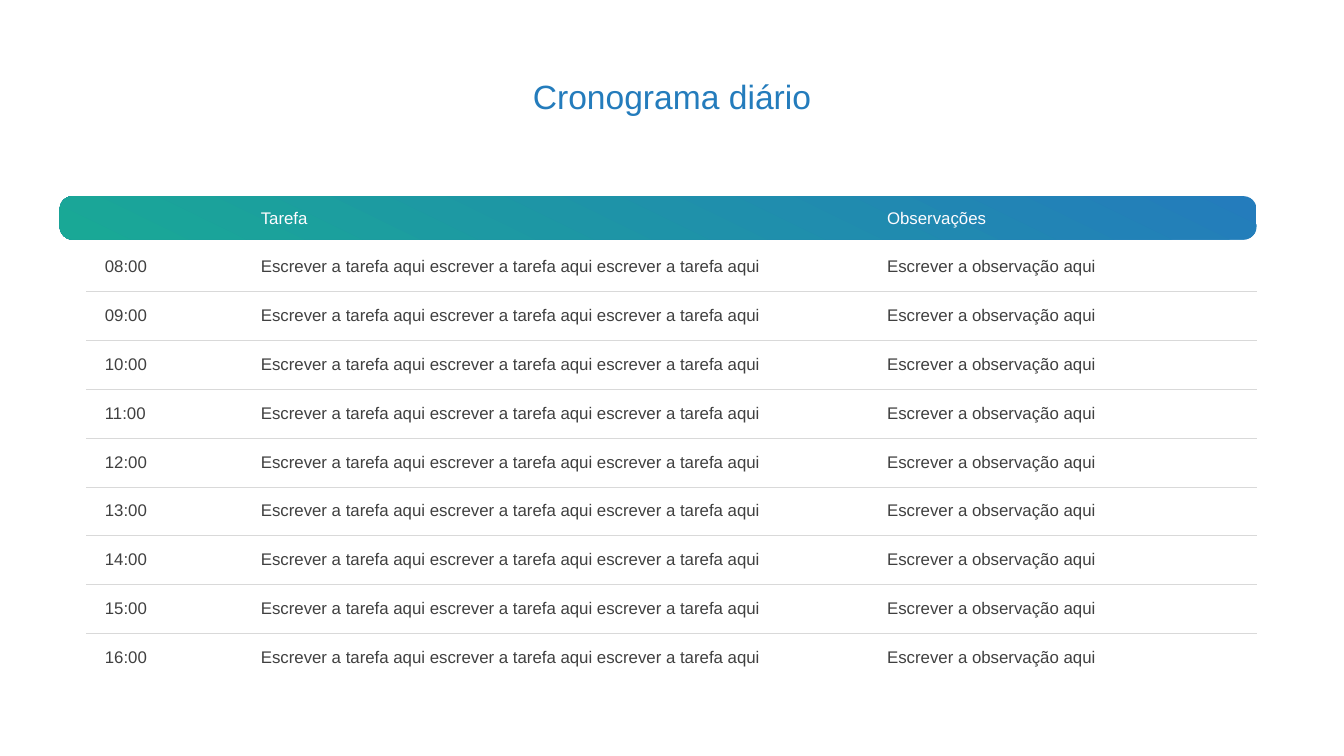
import pptx
import pptx.util
import pptx.dml.color
import pptx.enum.shapes
import pptx.enum.text
import lxml.etree

Pt = pptx.util.Pt
TEXT = pptx.enum.text

TITLE = "Cronograma diário"
HEADS = ["", "Tarefa", "Observações"]
HOURS = range(8, 17)
TASK = "Escrever a tarefa aqui escrever a tarefa aqui escrever a tarefa aqui"
NOTE = "Escrever a observação aqui"
COLS = [(54.7, 69), (138.25, 283), (473.75, 175)]
COLORS = {"blue": "247CBC", "green": "19A896", "white": "FEFCFF",
          "text": "404040", "rule": "D9D9D9"}
FONT = "Arial"
TOP, PITCH, HIGH = 135.6, 26.18, 13.7
GAP = 20.6


def tint(name):
    return pptx.dml.color.RGBColor.from_string(COLORS[name])


def style(par, size, name):
    par.font.name = FONT
    par.font.size = Pt(size)
    par.font.color.rgb = tint(name)


def place(shape, left, top, width, height):
    shape.left, shape.top = Pt(left), Pt(top)
    shape.width, shape.height = Pt(width), Pt(height)


def label(slide, text, col, top, name):
    left, width = col
    box = slide.shapes.add_textbox(Pt(left), Pt(top), Pt(width), Pt(HIGH))
    frame = box.text_frame
    frame.word_wrap = True
    frame.auto_size = TEXT.MSO_AUTO_SIZE.SHAPE_TO_FIT_TEXT
    frame.vertical_anchor = TEXT.MSO_ANCHOR.MIDDLE
    frame.margin_left = frame.margin_right = Pt(1.5)
    frame.margin_top = frame.margin_bottom = Pt(1.5)
    frame.text = text
    style(frame.paragraphs[0], 9, name)


def rule(slide, y):
    line = slide.shapes.add_connector(
        pptx.enum.shapes.MSO_CONNECTOR.STRAIGHT,
        Pt(46.2), Pt(y), Pt(673.2), Pt(y))
    line.line.color.rgb = tint("rule")
    line.line.width = Pt(0.5)
    props = line._element.spPr
    lxml.etree.SubElement(props, pptx.oxml.ns.qn("a:effectLst"))


def banner(slide):
    bar = slide.shapes.add_shape(
        pptx.enum.shapes.MSO_SHAPE.ROUNDED_RECTANGLE,
        Pt(32), Pt(105.1), Pt(641.2), Pt(23.3))
    bar.adjustments[0] = 0.3
    bar.shadow.inherit = False
    bar.line.fill.background()
    bar.fill.gradient()
    bar.fill.gradient_angle = 244
    stops = zip(bar.fill.gradient_stops, [("blue", 0), ("green", 0.99)])
    for stop, (name, spot) in stops:
        stop.color.rgb = tint(name)
        stop.position = spot


def heading(slide):
    title = slide.shapes.title
    place(title, 277.2, 37, 165.6, 29)
    frame = title.text_frame
    frame.text = TITLE
    frame.word_wrap = False
    frame.auto_size = TEXT.MSO_AUTO_SIZE.SHAPE_TO_FIT_TEXT
    frame.vertical_anchor = TEXT.MSO_ANCHOR.MIDDLE
    par = frame.paragraphs[0]
    par.alignment = TEXT.PP_ALIGN.CENTER
    style(par, 18, "blue")


def main():
    deck = pptx.Presentation()
    deck.slide_width, deck.slide_height = Pt(720), Pt(405)
    slide = deck.slides.add_slide(deck.slide_layouts.get_by_name("Title Only"))
    heading(slide)
    banner(slide)
    for text, col in zip(HEADS, COLS):
        if text:
            label(slide, text, col, 109.9, "white")
    for row, hour in enumerate(HOURS):
        top = TOP + row * PITCH
        for text, col in zip([f"{hour:02}:00", TASK, NOTE], COLS):
            label(slide, text, col, top, "text")
        if row < len(HOURS) - 1:
            rule(slide, top + GAP)
    deck.save("out.pptx")


if __name__ == "__main__":
    main()
